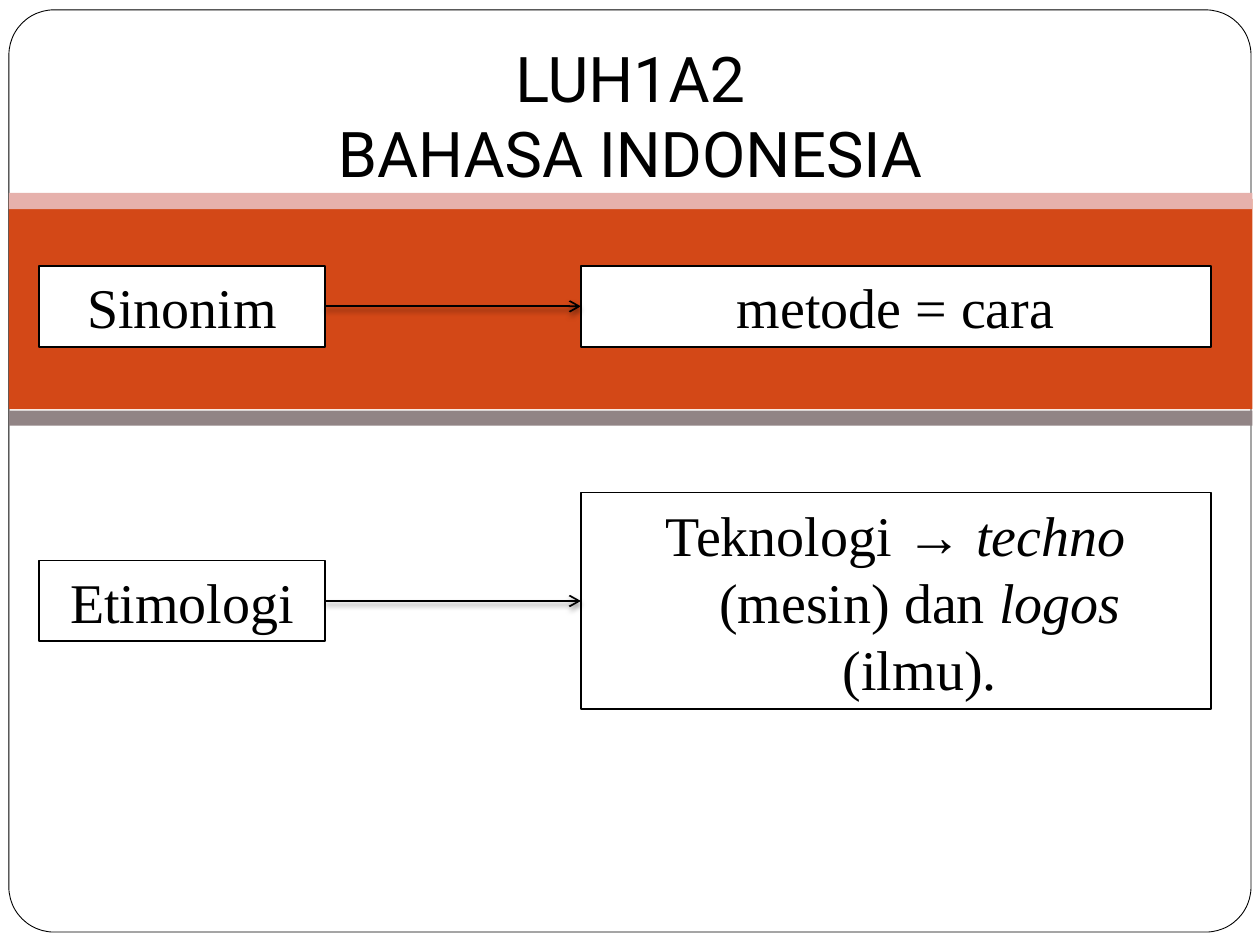
from lxml import etree
from pptx import Presentation
from pptx.dml.color import RGBColor
from pptx.enum.shapes import MSO_CONNECTOR, MSO_SHAPE
from pptx.enum.text import MSO_ANCHOR, MSO_AUTO_SIZE, PP_ALIGN
from pptx.oxml import parse_xml
from pptx.oxml.ns import qn
from pptx.util import Cm, Pt

RECT = MSO_SHAPE.RECTANGLE
ROUND = MSO_SHAPE.ROUNDED_RECTANGLE
STRAIGHT = MSO_CONNECTOR.STRAIGHT
MIDDLE = MSO_ANCHOR.MIDDLE
FIXED = MSO_AUTO_SIZE.NONE
CENTER = PP_ALIGN.CENTER
BLACK, WHITE = "000000", "FFFFFF"
SHADOW = (
    '<a:effectLst xmlns:a="http://schemas.openxmlformats.org/drawingml/2006/main">'
    '<a:outerShdw blurRad="38100" dist="25400" dir="5400000" rotWithShape="0">'
    '<a:srgbClr val="000000"><a:alpha val="50000"/></a:srgbClr>'
    '</a:outerShdw></a:effectLst>'
)


def paint(target, color):
    target.solid()
    target.fore_color.rgb = RGBColor.from_string(color)


def add_panel(slide, kind, place, color, width=0):
    panel = slide.shapes.add_shape(kind, *map(Cm, place))
    panel.shadow.inherit = False
    paint(panel.fill, color)
    if width:
        paint(panel.line.fill, BLACK)
        panel.line.width = Pt(width)
    else:
        panel.line.fill.background()
    return panel


def add_run(para, text, font, size, slant=False):
    run = para.add_run()
    run.text = text
    run.font.name = font
    run.font.size = Pt(size)
    run.font.italic = slant
    paint(run.font.fill, BLACK)


def add_title(slide, lines):
    title = slide.shapes.title
    title.left, title.top, title.width, title.height = map(Cm, (1.91, 0.79, 21.59, 3.18))
    slide.shapes._spTree.append(title._element)
    frame = title.text_frame
    frame.auto_size = FIXED
    frame.vertical_anchor = MIDDLE
    frame.margin_bottom = Cm(0.25)
    para = frame.paragraphs[0]
    para.alignment = CENTER
    for index, line in enumerate(lines):
        if index:
            para.add_line_break()
        add_run(para, line, "Roboto", 36)


def add_box(slide, place, parts, indent=0):
    box = add_panel(slide, RECT, place, WHITE, 1)
    frame = box.text_frame
    frame.word_wrap = True
    frame.vertical_anchor = MIDDLE
    para = frame.paragraphs[0]
    para.alignment = CENTER
    if indent:
        props = para._p.get_or_add_pPr()
        props.set("marL", str(Cm(indent)))
        props.set("indent", str(-Cm(indent)))
    for index, part in enumerate(parts):
        add_run(para, part, "Times New Roman", 32, index % 2 == 1)
    return box


def add_arrow(slide, start, end):
    arrow = slide.shapes.add_connector(STRAIGHT, 0, 0, 0, 0)
    arrow.begin_connect(start, 3)
    arrow.end_connect(end, 1)
    paint(arrow.line.fill, BLACK)
    arrow.line.width = Pt(1)
    etree.SubElement(arrow.line._get_or_add_ln(), qn("a:tailEnd"), type="arrow")
    arrow._element.spPr.append(parse_xml(SHADOW))


def main():
    deck = Presentation()
    deck.slide_width, deck.slide_height = Cm(25.4), Cm(19.05)
    slide = deck.slides.add_slide(deck.slide_layouts[5])

    frame = add_panel(slide, ROUND, (0.18, 0.2, 25.04, 18.59), WHITE, 0.5)
    frame.adjustments[0] = 0.049
    for top, height, color in (
        (4.01, 4.24, "D34817"),
        (3.89, 0.33, "E6B1AC"),
        (8.28, 0.3, "918485"),
    ):
        add_panel(slide, RECT, (0.18, top, 25.07, height), color)

    add_title(slide, ("LUH1A2", "BAHASA INDONESIA"))

    meaning = ("Teknologi → ", "techno", " (mesin) dan ", "logos", " (ilmu).")
    rows = (
        ("Sinonim", 5.36, ("metode = cara",), 5.36, 1.63, 0),
        ("Etimologi", 11.3, meaning, 9.93, 4.37, 0.97),
    )
    for term, top, parts, start, height, indent in rows:
        left = add_box(slide, (0.79, top, 5.77, 1.63), (term,))
        right = add_box(slide, (11.71, start, 12.7, height), parts, indent)
        add_arrow(slide, left, right)

    deck.save("out.pptx")


if __name__ == "__main__":
    main()
